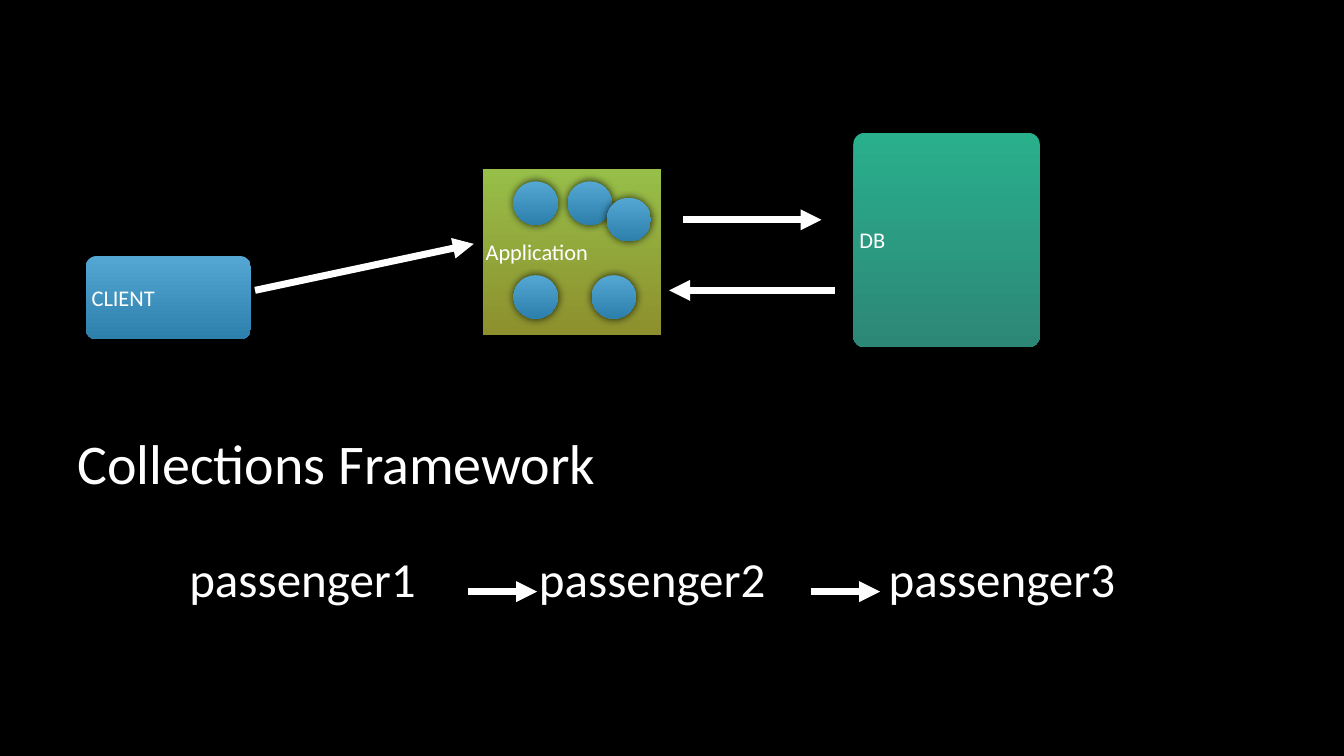
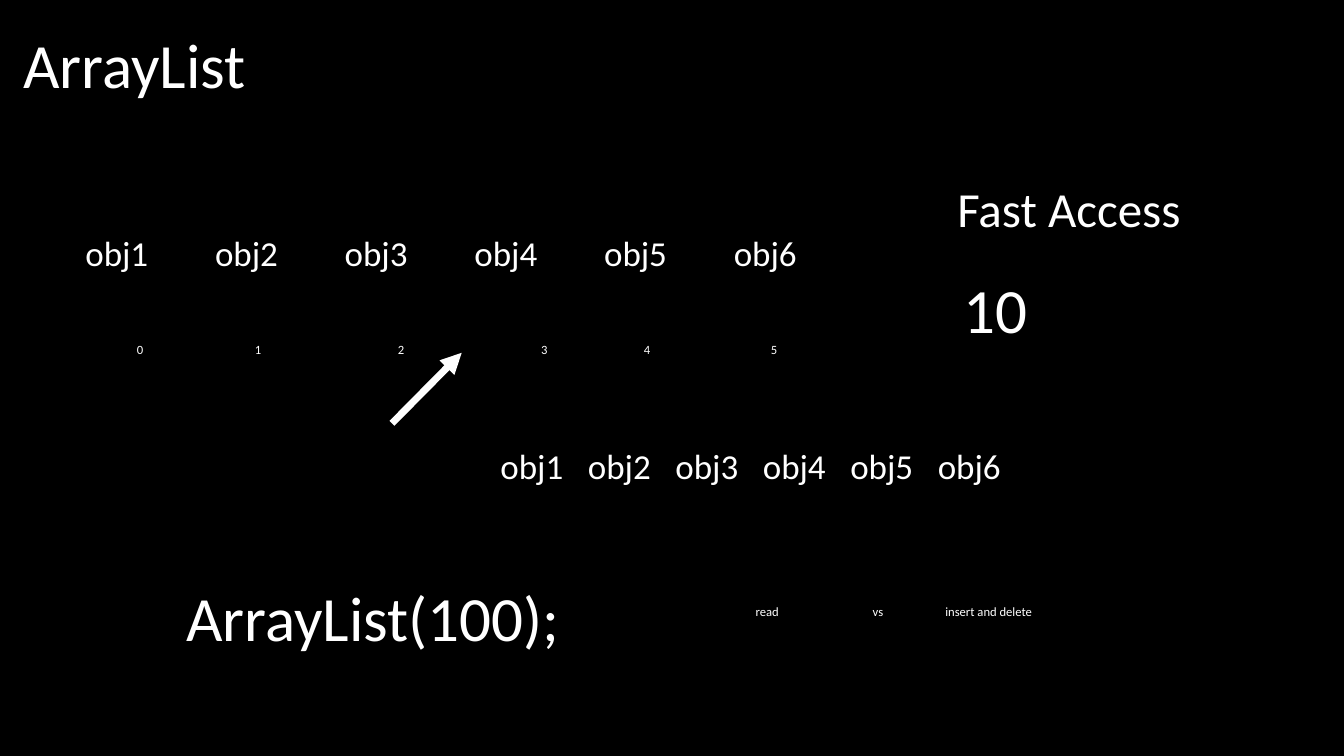
"""Build two slides on the collections framework and ArrayList."""
from lxml import etree
from pptx import Presentation
from pptx.dml.color import RGBColor
from pptx.enum.shapes import MSO_CONNECTOR, MSO_SHAPE
from pptx.enum.text import MSO_ANCHOR, MSO_AUTO_SIZE, PP_ALIGN
from pptx.oxml import parse_xml
from pptx.oxml.ns import nsdecls, qn
from pptx.util import Pt

FONT = "Calibri"
WHITE = "FFFFFF"
BLACK = "000000"
BLUE = ("53A7D2", "2D80AB")
GREEN = ("97BE49", "8D902D")
TEAL = ("29AF8C", "2D8777")
INSET = 2
NO_STYLE = "{2D5ABB26-0587-4C30-8999-92F81FD0307C}"


def color(value):
    """Turn a hex string into a colour."""
    return RGBColor.from_string(value)


def points(*values):
    """Turn numbers of points into lengths."""
    return [Pt(value) for value in values]


def write_text(paragraph, text, size=16, fill=WHITE):
    """Put left-aligned text with its format into a paragraph."""
    paragraph.alignment = PP_ALIGN.LEFT
    run = paragraph.add_run()
    run.text = text
    run.font.name = FONT
    run.font.size = Pt(size)
    run.font.color.rgb = color(fill)


def set_frame(frame, wrap=True, auto_size=MSO_AUTO_SIZE.NONE):
    """Give a text frame the shared insets and middle anchor."""
    frame.margin_left = frame.margin_right = Pt(INSET)
    frame.margin_top = frame.margin_bottom = Pt(INSET)
    frame.vertical_anchor = MSO_ANCHOR.MIDDLE
    frame.word_wrap = wrap
    frame.auto_size = auto_size


def add_title_slide(presentation, text, left, top, width, height, size):
    """Add a slide with its title moved into place."""
    slide = presentation.slides.add_slide(presentation.slide_layouts[5])
    title = slide.shapes.title
    title.left, title.top, title.width, title.height = points(left, top, width, height)
    set_frame(title.text_frame, wrap=False)
    write_text(title.text_frame.paragraphs[0], text, size=size)
    return slide


def add_label(slide, text, left, top, width, height, size):
    """Add a one-line text box."""
    box = slide.shapes.add_textbox(*points(left, top, width, height))
    set_frame(box.text_frame, wrap=False, auto_size=MSO_AUTO_SIZE.SHAPE_TO_FIT_TEXT)
    write_text(box.text_frame.paragraphs[0], text, size=size)


def add_glow_shadow(shape):
    """Add a soft black shadow around a shape."""
    shape.shadow.inherit = False
    effects = shape.element.spPr.find(qn("a:effectLst"))
    effects.append(parse_xml(
        f'<a:outerShdw {nsdecls("a")} blurRad="{Pt(6)}" dist="0" dir="18900000" '
        f'rotWithShape="0"><a:srgbClr val="{BLACK}"><a:alpha val="80000"/>'
        '</a:srgbClr></a:outerShdw>'))


def add_block(slide, kind, left, top, width, height, gradient, text="", corner=None):
    """Add a gradient shape with an optional caption."""
    shape = slide.shapes.add_shape(kind, *points(left, top, width, height))
    if corner is not None:
        shape.adjustments[0] = corner
    shape.fill.gradient()
    shape.fill.gradient_angle = 270
    for stop, value in zip(shape.fill.gradient_stops, gradient):
        stop.color.rgb = color(value)
    shape.line.fill.background()
    add_glow_shadow(shape)
    if text:
        set_frame(shape.text_frame)
        write_text(shape.text_frame.paragraphs[0], text)


def add_arrow(slide, start_x, start_y, end_x, end_y):
    """Add a thick white arrow."""
    arrow = slide.shapes.add_connector(
        MSO_CONNECTOR.STRAIGHT, *points(start_x, start_y, end_x, end_y))
    arrow.line.color.rgb = color(WHITE)
    arrow.line.width = Pt(5)
    line = arrow.element.spPr.find(qn("a:ln"))
    etree.SubElement(line, qn("a:tailEnd"), type="triangle")
    etree.SubElement(arrow.element.spPr, qn("a:effectLst"))


def add_object_row(slide, names, columns, left, top, column_width, height):
    """Add a one-row table of object names without borders or fill."""
    graphic = slide.shapes.add_table(
        1, columns, *points(left, top, column_width * columns, height))
    table = graphic.table
    table.first_row = table.horz_banding = False
    for style in graphic.element.iter(qn("a:tableStyleId")):
        style.text = NO_STYLE
    for index in range(columns):
        table.columns[index].width = Pt(column_width)
        cell = table.cell(0, index)
        cell.fill.background()
        cell.vertical_anchor = MSO_ANCHOR.MIDDLE
        cell.margin_left = cell.margin_right = Pt(INSET)
        cell.margin_top = cell.margin_bottom = Pt(INSET)
        if index < len(names):
            write_text(cell.text_frame.paragraphs[0], names[index], size=25)


def build_framework(presentation):
    """Build the slide on the application and its passengers."""
    slide = add_title_slide(
        presentation, "Collections Framework", 53.3, 303.8, 378, 52.6, size=40)
    for index in range(3):
        add_label(slide, f"passenger{index + 1}", 133.2 + 249.8 * index, 389.5,
                  167.8, 46.8, size=35)
    for left in (334, 579):
        add_arrow(slide, left, 422.6, left + 49.7, 422.6)

    add_block(slide, MSO_SHAPE.ROUNDED_RECTANGLE, 609.5, 95, 133.2, 153,
              TEAL, text="DB", corner=0.06)
    add_block(slide, MSO_SHAPE.RECTANGLE, 344.9, 121, 127.4, 118,
              GREEN, text="Application")
    add_block(slide, MSO_SHAPE.ROUNDED_RECTANGLE, 61.2, 182.9, 118, 59.5,
              BLUE, text="CLIENT", corner=0.13)
    add_arrow(slide, 488.2, 157, 586.8, 157)
    add_arrow(slide, 596.2, 207.4, 478, 207.4)
    add_arrow(slide, 182.2, 207.4, 338.4, 174.2)

    circles = [(366.8, 129.6), (405.4, 129.6), (422.6, 196.6),
               (366.8, 196.6), (433.4, 141.3)]
    for left, top in circles:
        add_block(slide, MSO_SHAPE.OVAL, left, top, 31.7, 31, BLUE)


def build_array_list(presentation):
    """Build the slide on ArrayList access and capacity."""
    slide = add_title_slide(presentation, "ArrayList", 14.6, 15.8, 165, 58.3, size=45)
    names = [f"obj{number}" for number in range(1, 7)]
    add_object_row(slide, names, 6, 59, 137.5, 92.64, 88.6)
    add_object_row(slide, names, 9, 355.5, 297, 62.48, 74)

    add_label(slide, "ArrayList(100);", 131, 411, 273.6, 58.3, size=45)
    add_label(slide, "10", 686.2, 190.8, 49.7, 58.3, size=45)
    add_label(slide, "Fast Access", 681.8, 125.3, 165, 46.8, size=35)
    add_arrow(slide, 280, 302.4, 329.8, 252)

    for index, left in enumerate((95.8, 180, 282.2, 384.5, 457.9, 548.6)):
        add_label(slide, str(index), left, 242, 9, 15, size=9)
    for text, left, width in (("read", 537.8, 22), ("vs", 621.4, 16),
                              ("insert and delete", 673.2, 68)):
        add_label(slide, text, left, 429, width, 15, size=9)


def main():
    """Build and save the presentation."""
    presentation = Presentation()
    presentation.slide_width, presentation.slide_height = points(960, 540)
    background = presentation.slide_master.background.fill
    background.solid()
    background.fore_color.rgb = color(BLACK)
    build_framework(presentation)
    build_array_list(presentation)
    presentation.save("out.pptx")


if __name__ == "__main__":
    main()
